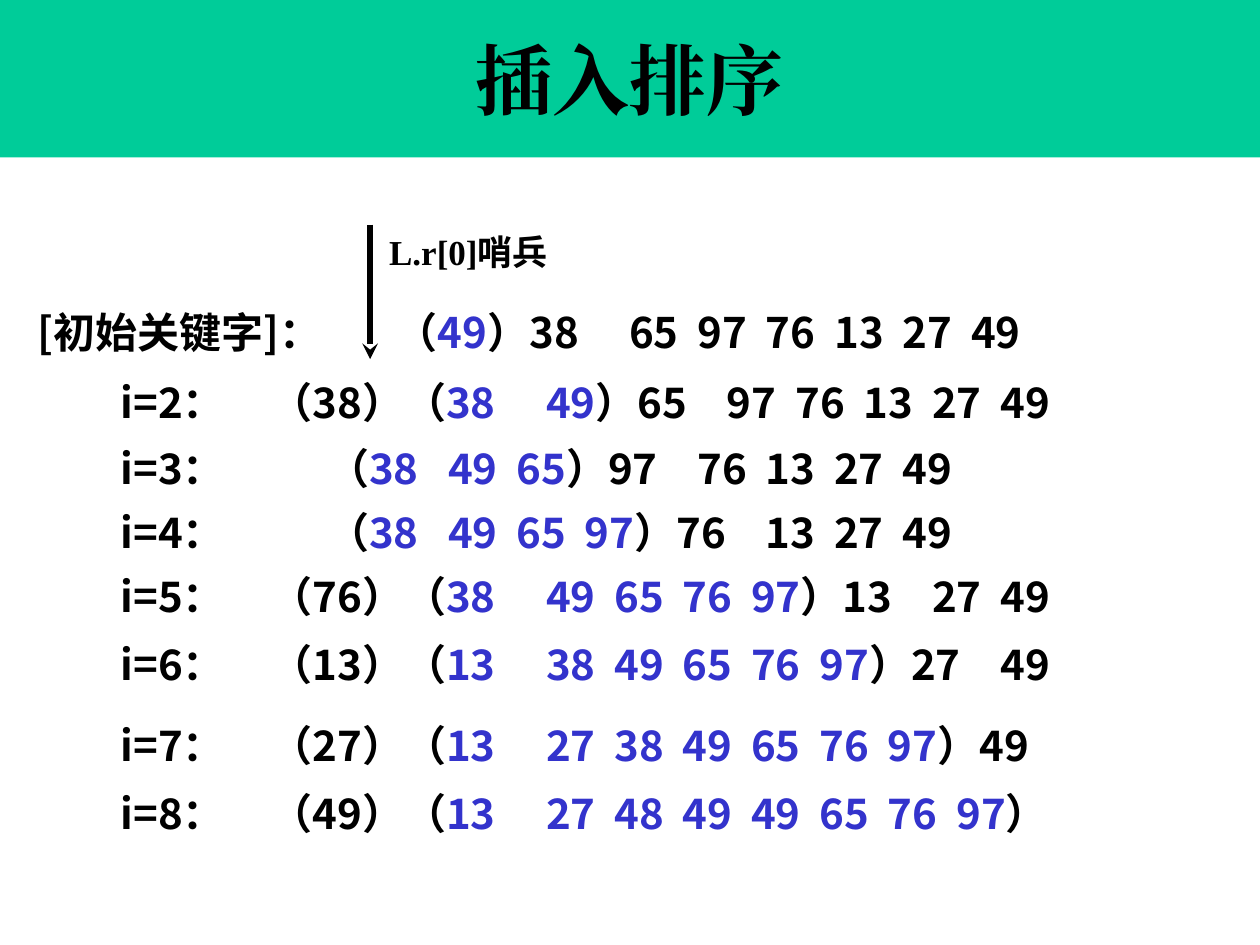
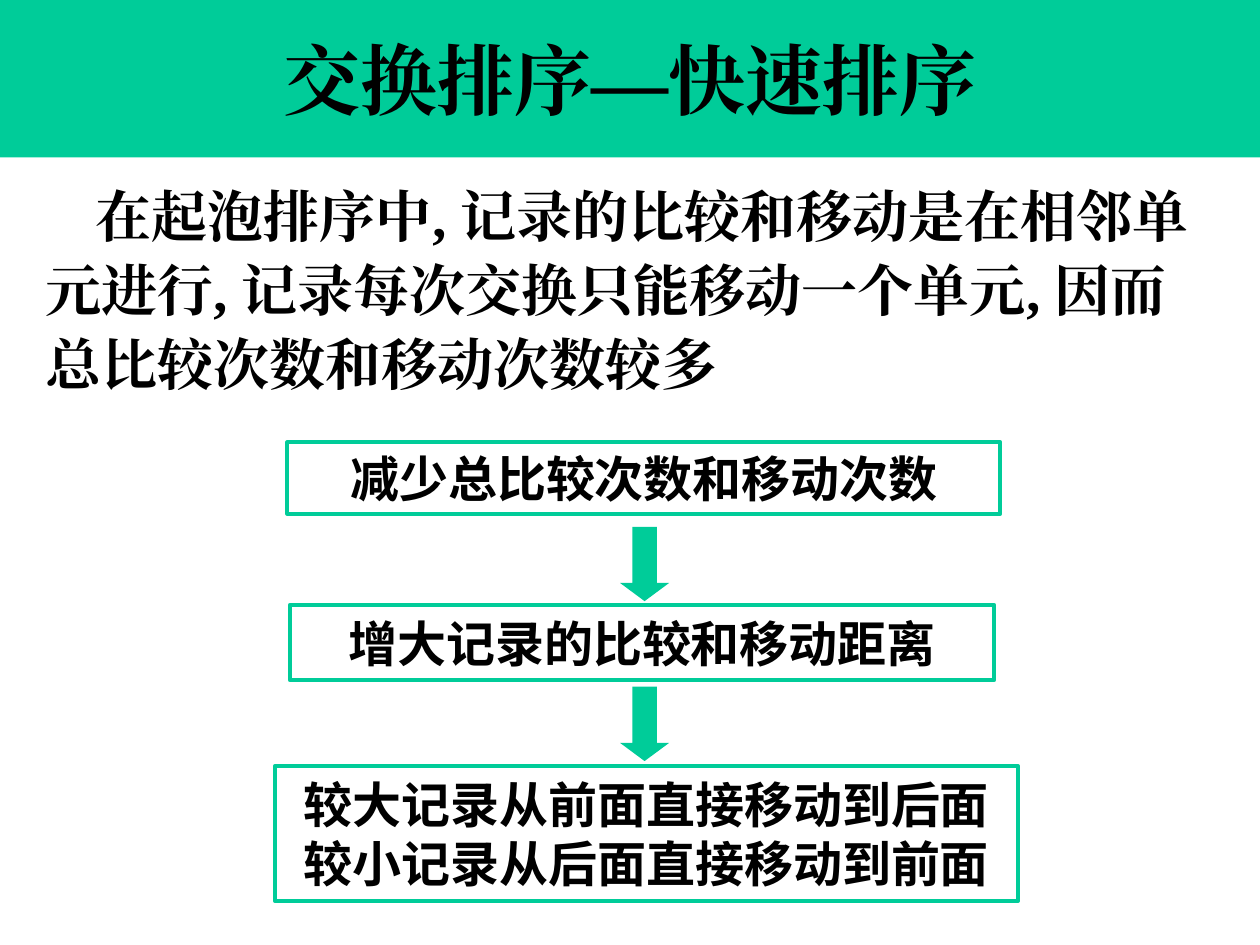
"""Build two slides on insertion sort and quicksort."""
import pptx
import pptx.dml.color
import pptx.enum.shapes
import pptx.enum.text
import pptx.oxml
import pptx.oxml.ns
import pptx.util

Pt = pptx.util.Pt
RGBColor = pptx.dml.color.RGBColor
Shapes = pptx.enum.shapes.MSO_SHAPE
Align = pptx.enum.text.PP_ALIGN
Anchor = pptx.enum.text.MSO_ANCHOR
GREEN = RGBColor(0x00, 0xCC, 0x99)
BLUE = RGBColor(0x33, 0x33, 0xCC)
BLACK = RGBColor(0x00, 0x00, 0x00)
SERIF = "Times New Roman"
SANS = "Arial"
CHINESE = "Noto Sans CJK SC"
NAMESPACE = pptx.oxml.ns.nsdecls("a")


def add_run(paragraph, text, font=CHINESE, size=24, color=BLACK):
    run = paragraph.add_run()
    run.text = text
    run.font.name = font
    run.font.size = Pt(size)
    run.font.bold = True
    run.font.color.rgb = color
    east_asian = pptx.oxml.parse_xml(f'<a:ea {NAMESPACE} typeface="{font}"/>')
    run.font._element.find(pptx.oxml.ns.qn("a:latin")).addnext(east_asian)


def add_block(slide, kind, left, top, width, height, fill=None, line=None):
    shape = slide.shapes.add_shape(kind, Pt(left), Pt(top), Pt(width), Pt(height))
    shape.shadow.inherit = False
    if fill:
        shape.fill.solid()
        shape.fill.fore_color.rgb = fill
    else:
        shape.fill.background()
    if line:
        shape.line.color.rgb = line
        shape.line.width = Pt(2.25)
    else:
        shape.line.fill.background()
    shape.text_frame.word_wrap = True
    shape.text_frame.vertical_anchor = Anchor.MIDDLE
    shape.text_frame.paragraphs[0].alignment = Align.CENTER
    return shape


presentation = pptx.Presentation()
presentation.slide_width = Pt(720)
presentation.slide_height = Pt(540)

slides = []
for title in ["插入排序", "交换排序—快速排序"]:
    slide = presentation.slides.add_slide(presentation.slide_layouts[6])
    band = add_block(slide, Shapes.RECTANGLE, 0, 0, 720, 90, fill=GREEN)
    add_run(band.text_frame.paragraphs[0], title, font=SERIF, size=44)
    slides.append(slide)
insertion_slide, quicksort_slide = slides

sentinel_arrow = insertion_slide.shapes.add_connector(
    pptx.enum.shapes.MSO_CONNECTOR.STRAIGHT, Pt(211.5), Pt(128.3), Pt(211.5), Pt(205.2))
sentinel_arrow.line.color.rgb = BLACK
sentinel_arrow.line.width = Pt(3)
sentinel_arrow.line._get_or_add_ln().append(
    pptx.oxml.parse_xml(f'<a:tailEnd {NAMESPACE} type="stealth"/>'))
sentinel_arrow._element.spPr.append(pptx.oxml.parse_xml(f"<a:effectLst {NAMESPACE}/>"))

sentinel_label = insertion_slide.shapes.add_textbox(Pt(215.3), Pt(128.2), Pt(105.8), Pt(31.7))
sentinel_label.text_frame.word_wrap = True
paragraph = sentinel_label.text_frame.paragraphs[0]
add_run(paragraph, "L.r[0]", font=SERIF, size=20)
add_run(paragraph, "哨兵", size=20)

KEYS = "49 38 65 97 76 13 27 49".split()
NUMBER_STEP = 39.07
BRACKET_STEP = 64.3
BRACKET_WIDTH = 30
SENTINEL_WIDTH = 88.3
passes = [
    ("[初始关键字]：", 14.4, 171.4, 204.7, "", "49"),
    ("i=2：", 61.9, 211.7, 85.7, "38", "38 49"),
    ("i=3：", 61.9, 249.1, 118, "", "38 49 65"),
    ("i=4：", 61.9, 285.8, 118, "", "38 49 65 97"),
    ("i=5：", 61.9, 322.6, 85.7, "76", "38 49 65 76 97"),
    ("i=6：", 61.9, 361.4, 85.7, "13", "13 38 49 65 76 97"),
    ("i=7：", 61.9, 407.5, 85.7, "27", "13 27 38 49 65 76 97"),
    ("i=8：", 61.9, 446.4, 85.7, "49", "13 27 48 49 49 65 76 97"),
]
for label, left, top, start, sentinel, sorted_text in passes:
    sorted_keys = sorted_text.split()
    waiting_keys = KEYS[len(sorted_keys):]
    stops = [start]
    position = start + BRACKET_WIDTH + (SENTINEL_WIDTH if sentinel else 0)
    for _ in sorted_keys[1:]:
        position += NUMBER_STEP
        stops.append(position)
    position += BRACKET_STEP
    for _ in waiting_keys[1:]:
        position += NUMBER_STEP
        stops.append(position)

    row = insertion_slide.shapes.add_textbox(Pt(left), Pt(top), Pt(632), Pt(36))
    row.text_frame.word_wrap = False
    paragraph = row.text_frame.paragraphs[0]
    tabs = "".join(f'<a:tab pos="{int(Pt(stop))}" algn="l"/>' for stop in stops)
    paragraph._p.get_or_add_pPr().append(
        pptx.oxml.parse_xml(f"<a:tabLst {NAMESPACE}>{tabs}</a:tabLst>"))
    opening = f"（{sentinel}）（" if sentinel else "（"
    add_run(paragraph, f"{label}\t{opening}")
    add_run(paragraph, "\t".join(sorted_keys), color=BLUE)
    add_run(paragraph, "）" + "\t".join(waiting_keys))

body = quicksort_slide.shapes.add_textbox(Pt(18.7), Pt(96.5), Pt(682.6), Pt(141.1))
body.text_frame.word_wrap = True
paragraph = body.text_frame.paragraphs[0]
paragraph.line_spacing = 1.1
paragraph._p.get_or_add_pPr().set("indent", str(int(Pt(29))))
add_run(paragraph, "在起泡排序中, 记录的比较和移动是在相邻单元进行, "
        "记录每次交换只能移动一个单元, 因而总比较次数和移动次数较多", font=SERIF, size=32)

steps = [
    (164.2, 252.7, 407.5, 41, ["减少总比较次数和移动次数"]),
    (165.6, 345.6, 402.5, 43.2, ["增大记录的比较和移动距离"]),
    (157, 437.8, 424.8, 77, ["较大记录从前面直接移动到后面", "较小记录从后面直接移动到前面"]),
]
for left, top, width, height, lines in steps:
    box = add_block(quicksort_slide, Shapes.RECTANGLE, left, top, width, height, line=GREEN)
    for index, text in enumerate(lines):
        frame = box.text_frame
        paragraph = frame.add_paragraph() if index else frame.paragraphs[0]
        paragraph.alignment = Align.CENTER
        add_run(paragraph, text, font=SANS, size=28)

for top in [301, 392.4]:
    arrow = add_block(quicksort_slide, Shapes.DOWN_ARROW, 354.3, top, 28.1, 42.5, fill=GREEN)
    arrow.adjustments[0] = 0.5
    arrow.adjustments[1] = 0.37

presentation.save("out.pptx")
